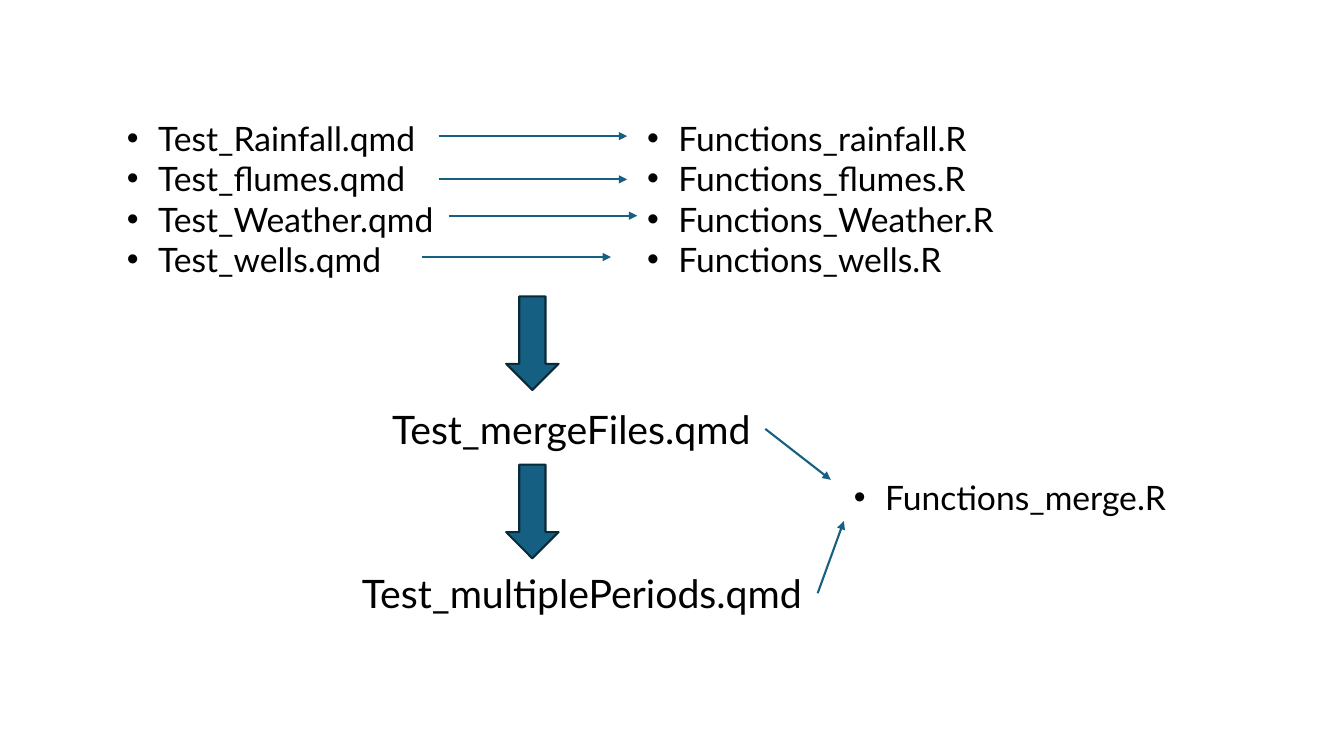
"""Build a slide showing which test notebooks use which function files."""
import pptx
import pptx.dml.color
import pptx.enum.shapes
import pptx.enum.text
import pptx.oxml
import pptx.oxml.ns
import pptx.util

Inches = pptx.util.Inches
TEAL = "156082"
DARK_TEAL = "092A39"
BLACK = "000000"


def color(value):
    return pptx.dml.color.RGBColor.from_string(value)


def add_text(page, place, lines, size, bulleted):
    box = page.shapes.add_textbox(*map(Inches, place))
    box.text_frame.word_wrap = bulleted
    if not bulleted:
        box.text_frame.auto_size = pptx.enum.text.MSO_AUTO_SIZE.SHAPE_TO_FIT_TEXT
    for index, line in enumerate(lines):
        para = box.text_frame.paragraphs[0] if index == 0 else box.text_frame.add_paragraph()
        span = para.add_run()
        span.text = line
        font_format = {"name": "Lato", "size": pptx.util.Pt(size)}
        for name, value in font_format.items():
            setattr(span.font, name, value)
        span.font.color.rgb = color(BLACK)
        if bulleted:
            properties = para._p.get_or_add_pPr()
            for name, value in {"marL": Inches(0.31), "indent": -Inches(0.31)}.items():
                properties.set(name, str(value))
            bullet_font = pptx.oxml.ns.qn("a:buFont")
            properties.append(properties.makeelement(bullet_font, {"typeface": "Arial"}))
            bullet = pptx.oxml.ns.qn("a:buChar")
            properties.append(properties.makeelement(bullet, {"char": "•"}))
    return box


deck = pptx.Presentation()
deck.slide_width = Inches(13.33)
deck.slide_height = Inches(7.5)
page = deck.slides.add_slide(deck.slide_layouts[6])

topics = ["rainfall", "flumes", "Weather", "wells"]
notebooks = ["Test_Rainfall.qmd", "Test_flumes.qmd", "Test_Weather.qmd", "Test_wells.qmd"]
add_text(page, (1.16, 1.12, 3.49, 2.12), notebooks, 24, True)
add_text(page, (6.32, 1.12, 4.3, 2.12), [f"Functions_{topic}.R" for topic in topics], 24, True)
add_text(page, (8.37, 4.68, 4.3, 0.5), ["Functions_merge.R"], 24, True)
merge_box = add_text(page, (3.79, 3.97, 3.8, 0.57), ["Test_mergeFiles.qmd"], 28, False)
periods_box = add_text(page, (3.49, 5.6, 4.62, 0.57), ["Test_multiplePeriods.qmd"], 28, False)

for top in (2.94, 4.61):
    block_arrow = page.shapes.add_shape(
        pptx.enum.shapes.MSO_SHAPE.DOWN_ARROW,
        Inches(5.02), Inches(top), Inches(0.52), Inches(0.93))
    block_arrow.shadow.inherit = False
    block_arrow.fill.solid()
    block_arrow.fill.fore_color.rgb = color(TEAL)
    block_arrow.line.color.rgb = color(DARK_TEAL)
    block_arrow.line.width = pptx.util.Pt(1.5)

row_starts = [(4.35, 1.35), (4.35, 1.78), (4.45, 2.14), (4.19, 2.55)]
arrows = [(left, top, left + 1.87, top, None) for left, top in row_starts]
arrows += [(7.59, 4.26, 8.24, 4.76, merge_box), (8.11, 5.89, 8.37, 5.17, periods_box)]
for *ends, source_box in arrows:
    arrow = page.shapes.add_connector(
        pptx.enum.shapes.MSO_CONNECTOR.STRAIGHT, *map(Inches, ends))
    if source_box is not None:
        arrow.begin_connect(source_box, 3)
    arrow.line.color.rgb = color(TEAL)
    arrow.line.width = pptx.util.Pt(1.5)
    outline = arrow.line._get_or_add_ln()
    outline.append(outline.makeelement(pptx.oxml.ns.qn("a:tailEnd"), {"type": "triangle"}))
    shape_properties = arrow._element.spPr
    shape_properties.append(shape_properties.makeelement(pptx.oxml.ns.qn("a:effectLst"), {}))

deck.save("out.pptx")
